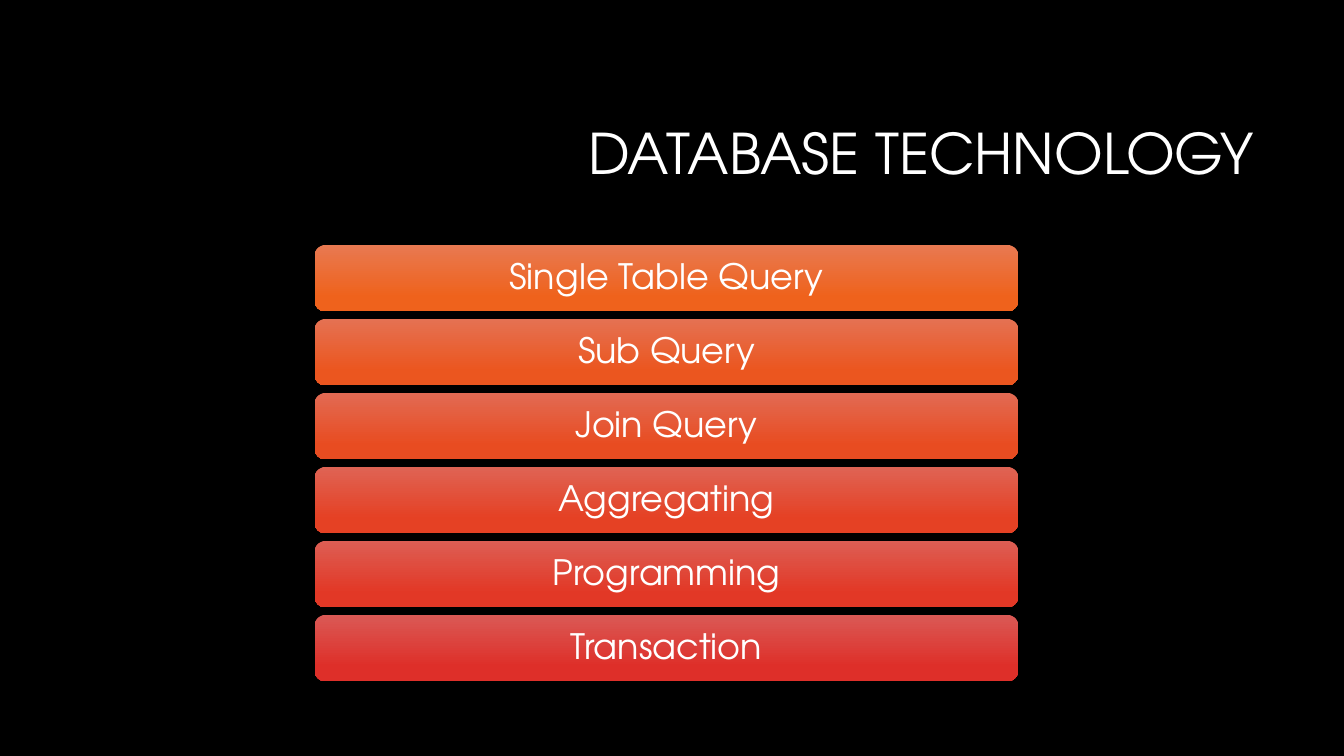
import pptx
import pptx.dml.color
import pptx.enum.shapes
import pptx.enum.text
import pptx.util

Inches = pptx.util.Inches
Pt = pptx.util.Pt
RGBColor = pptx.dml.color.RGBColor
Align = pptx.enum.text.PP_ALIGN

FONT = "TeX Gyre Adventor"
BLACK = RGBColor(0x00, 0x00, 0x00)
WHITE = RGBColor(0xFF, 0xFF, 0xFF)
TOPICS = [
    ("Single Table Query", RGBColor(0xE8, 0x79, 0x51), RGBColor(0xEF, 0x62, 0x1C)),
    ("Sub Query", RGBColor(0xE5, 0x71, 0x52), RGBColor(0xEB, 0x56, 0x1F)),
    ("Join Query", RGBColor(0xE2, 0x6A, 0x53), RGBColor(0xE8, 0x4C, 0x21)),
    ("Aggregating", RGBColor(0xDF, 0x63, 0x54), RGBColor(0xE5, 0x41, 0x24)),
    ("Programming", RGBColor(0xDD, 0x5E, 0x54), RGBColor(0xE2, 0x38, 0x26)),
    ("Transaction", RGBColor(0xDA, 0x59, 0x55), RGBColor(0xDE, 0x2F, 0x29)),
]
LEFT, WIDTH, HEIGHT = 3.12, 6.98, 0.66
FIRST, LAST = 2.43, 6.1
STEP = (LAST - FIRST) / (len(TOPICS) - 1)


def write(frame, text, size, align):
    frame.word_wrap = True
    frame.auto_size = pptx.enum.text.MSO_AUTO_SIZE.NONE
    frame.vertical_anchor = pptx.enum.text.MSO_ANCHOR.MIDDLE
    para = frame.paragraphs[0]
    para.alignment = align
    para.line_spacing = 0.9
    run = para.add_run()
    run.text = text
    run.font.name = FONT
    run.font.size = Pt(size)
    run.font.color.rgb = WHITE
    return para


deck = pptx.Presentation()
deck.slide_width = Inches(13.33)
deck.slide_height = Inches(7.5)
slide = deck.slides.add_slide(deck.slide_layouts[5])
slide.background.fill.solid()
slide.background.fill.fore_color.rgb = BLACK

title = slide.shapes.title
title.left, title.top = Inches(LEFT), Inches(0.85)
title.width, title.height = Inches(9.42), Inches(1.41)
write(title.text_frame, "DATABASE TECHNOLOGY", 40, Align.RIGHT)

for row, (topic, light, dark) in enumerate(TOPICS):
    bar = slide.shapes.add_shape(
        pptx.enum.shapes.MSO_SHAPE.ROUNDED_RECTANGLE,
        Inches(LEFT), Inches(FIRST + row * STEP), Inches(WIDTH), Inches(HEIGHT))
    bar.shadow.inherit = False
    bar.line.fill.background()
    bar.fill.gradient()
    bar.fill.gradient_angle = 270
    start, end = bar.fill.gradient_stops
    start.position, start.color.rgb = 0, light
    end.position, end.color.rgb = 0.78, dark
    frame = bar.text_frame
    frame.margin_left = frame.margin_right = Inches(0.1)
    frame.margin_top = frame.margin_bottom = Inches(0.1)
    para = write(frame, topic, 25, Align.CENTER)
    para.space_after = Pt(8.75)

deck.save("out.pptx")
